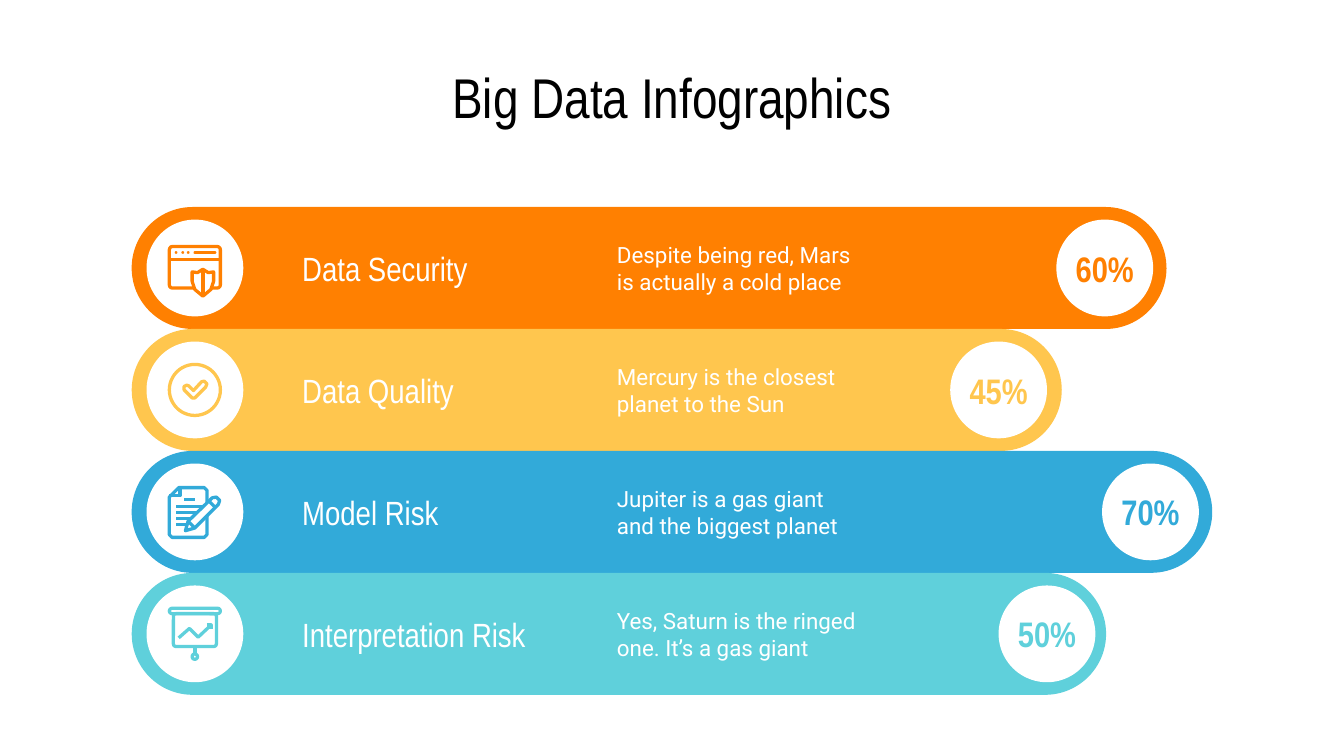
from lxml import etree
from pptx import Presentation
from pptx.dml.color import RGBColor
from pptx.enum.shapes import MSO_CONNECTOR, MSO_SHAPE
from pptx.enum.text import MSO_ANCHOR, PP_ALIGN
from pptx.oxml.ns import qn
from pptx.util import Inches, Pt

OVAL, PILL = MSO_SHAPE.OVAL, MSO_SHAPE.ROUNDED_RECTANGLE
STRAIGHT = MSO_CONNECTOR.STRAIGHT
LEFT, CENTER, MIDDLE = PP_ALIGN.LEFT, PP_ALIGN.CENTER, MSO_ANCHOR.MIDDLE

COLORS = {"black": "000000", "white": "FFFFFF", "orange": "FF8001",
          "yellow": "FFC64E", "blue": "32AAD9", "aqua": "5FD0DB"}

TITLE = "Big Data Infographics"
# name, description, percentage, colour, bar width, badge left
RISKS = [
    ("Data Security", "Despite being red, Mars is actually a cold place",
     "60%", "orange", 7.7, 7.86),
    ("Data Quality", "Mercury is the closest planet to the Sun",
     "45%", "yellow", 6.92, 7.07),
    ("Model Risk", "Jupiter is a gas giant and the biggest planet",
     "70%", "blue", 8.04, 8.2),
    ("Interpretation Risk", "Yes, Saturn is the ringed one. It’s a gas giant",
     "50%", "aqua", 7.25, 7.43),
]

# Icon parts, in hundredths of an inch from the centre of the disc:
# box parts hold (preset, corner radius, x, y, w, h); the others hold points
ICONS = {
    "Data Security": [
        ("outline", (PILL, 0.08, -19, -16, 38, 31)),
        ("stroke", [(-19, -6.5), (19, -6.5)]),
        *[("solid", (OVAL, None, x, -12.5, 2, 2)) for x in (-15, -10, -6)],
        ("solid", (PILL, 0.5, -1, -12.5, 17, 2)),
        ("closed", [(6, 1), (10, 3.5), (14, 3), (14, 10), (12, 16), (6, 21),
                    (0, 16), (-2, 10), (-2, 3), (2, 3.5)]),
        ("stroke", [(6, 1), (6, 21)]),
    ],
    "Data Quality": [
        ("outline", (OVAL, None, -19, -19, 38, 38)),
        ("closed", [(5, -6), (7, -6.5), (9, -4.5), (8, -2), (0, 6), (-2, 6),
                    (-8, 0), (-8, -2.5), (-6, -3.5), (-4.5, -3), (-1, 0.5)]),
    ],
    "Model Risk": [
        ("closed", [(-12, -18), (7, -18), (9, -16), (9, 17), (7, 19),
                    (-17, 19), (-19, 17), (-19, -11)]),
        ("stroke", [(-19, -12), (-11, -12), (-11, -18)]),
        *[("stroke", [(x, y), (end, y)]) for x, end, y in
          [(-8, 0, -9), (-14, 5, -4), (-14, 2, 0.5), (-14, -3, 5), (-14, -6, 9.5)]],
        ("closed", [(-7, 14), (-5, 7), (13, -10.5), (16, -11), (18.5, -8.5),
                    (17.5, -5.5), (0, 12)]),
        ("stroke", [(10.5, -8), (15, -3.5)]),
        ("stroke", [(-5, 7), (0, 12)]),
    ],
    "Interpretation Risk": [
        ("outline", (PILL, 0.08, -16, -15, 32, 24.5)),
        ("outline", (PILL, 0.5, -19, -19, 38, 4)),
        ("stroke", [(0, 10), (0, 15)]),
        ("outline", (OVAL, None, -2, 15, 4, 4)),
        ("stroke", [(-12, 3), (-4, -4), (2.5, 2.5), (12, -6.5)]),
        ("stroke", [(9, -6.5), (12, -6.5), (12, -3.5)]),
    ],
}

BAR_LEFT, BAR_TOP = 0.98, 1.54
BAR_HEIGHT = 3.63 / len(RISKS)
DISC, DISC_LEFT = 0.72, 1.09
ICON_LINE = Pt(1.75)

# Widescreen slide, 16:9
deck = Presentation()
deck.slide_width = Inches(10)
deck.slide_height = deck.slide_width * 9 // 16
slide = deck.slides.add_slide(deck.slide_layouts[6])


def rgb(color):
    return RGBColor.from_string(COLORS[color])


def paint(shape, fill=None, line=None):
    shape.shadow.inherit = False
    if fill:
        shape.fill.solid()
        shape.fill.fore_color.rgb = rgb(fill)
    else:
        shape.fill.background()
    if line:
        shape.line.color.rgb = rgb(line)
        shape.line.width = ICON_LINE
    else:
        shape.line.fill.background()


def add_preset(preset, radius, x, y, w, h, fill=None, line=None):
    shape = slide.shapes.add_shape(preset, *map(Inches, (x, y, w, h)))
    if radius is not None:
        shape.adjustments[0] = radius
    paint(shape, fill, line)


def add_text(text, box, size, color, font="Arial Narrow", align=LEFT,
             side=0.1, bold=False):
    frame = slide.shapes.add_textbox(*map(Inches, box)).text_frame
    layout = {"word_wrap": True, "vertical_anchor": MIDDLE,
              "margin_left": Inches(side), "margin_right": Inches(side),
              "margin_top": Inches(0.1), "margin_bottom": Inches(0.1)}
    for key, value in layout.items():
        setattr(frame, key, value)
    paragraph = frame.paragraphs[0]
    paragraph.alignment = align
    run = paragraph.add_run()
    run.text = text
    for key, value in {"name": font, "size": Pt(size), "bold": bold}.items():
        setattr(run.font, key, value)
    run.font.color.rgb = rgb(color)


def add_path(points, color, closed):
    points = [(Inches(x), Inches(y)) for x, y in points]
    if len(points) == 2:
        line = slide.shapes.add_connector(STRAIGHT, *points[0], *points[1])
        line.line.color.rgb = rgb(color)
        line.line.width = ICON_LINE
        etree.SubElement(line._element.spPr, qn("a:effectLst"))
        return
    builder = slide.shapes.build_freeform(*points[0])
    builder.add_line_segments(points[1:], close=closed)
    paint(builder.convert_to_shape(), "white" if closed else None, color)


def add_icon(parts, center_x, center_y, color):
    for kind, part in parts:
        if kind in ("outline", "solid"):
            preset, radius, x, y, w, h = part
            role = "line" if kind == "outline" else "fill"
            add_preset(preset, radius, center_x + x / 100, center_y + y / 100,
                       w / 100, h / 100, **{role: color})
        else:
            points = [(center_x + x / 100, center_y + y / 100) for x, y in part]
            add_path(points, color, kind == "closed")


# Title
add_text(TITLE, (0.5, 0.45, 9, 0.53), 30, "black", align=CENTER)

# One bar per risk
for row, (name, description, share, color, width, badge_left) in enumerate(RISKS):
    top = BAR_TOP + row * BAR_HEIGHT
    middle = top + BAR_HEIGHT / 2
    add_preset(PILL, 0.5, BAR_LEFT, top, width, BAR_HEIGHT, fill=color)
    for disc_left in (DISC_LEFT, badge_left):
        add_preset(OVAL, None, disc_left, middle - DISC / 2, DISC, DISC, fill="white")
    add_icon(ICONS[name], DISC_LEFT + DISC / 2, middle, color)
    add_text(name, (2.15, middle - 0.32, 2.11, 0.64), 18, "white")
    add_text(description, (4.59, middle - 0.34, 1.81, 0.68), 12, "white",
             font="Roboto", side=0)
    add_text(share, (badge_left, middle - 0.27, DISC, 0.54), 19, color,
             align=CENTER, bold=True)

deck.save("out.pptx")
